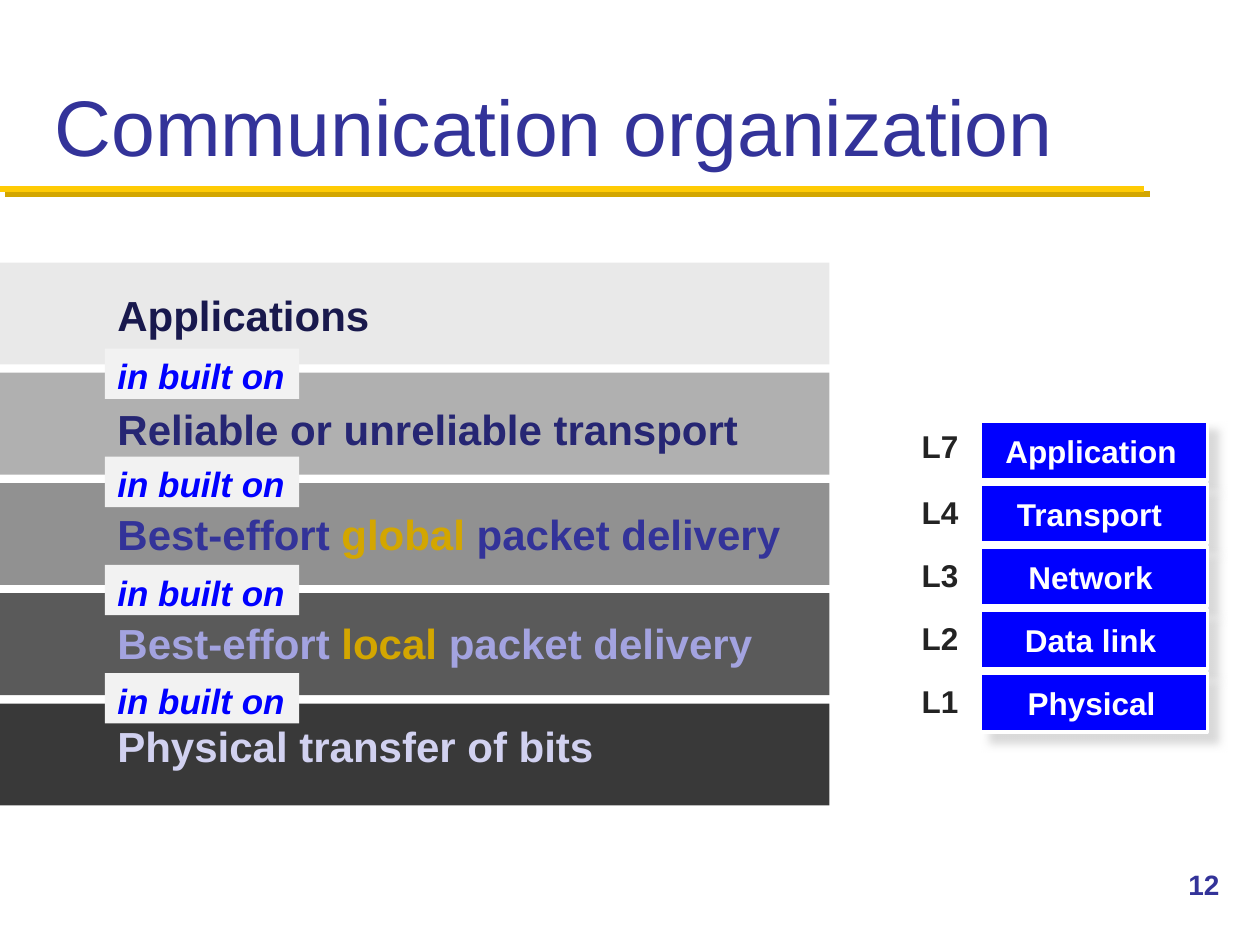
from lxml.etree import SubElement
from pptx import Presentation
from pptx.dml.color import RGBColor
from pptx.enum.shapes import MSO_CONNECTOR, MSO_SHAPE
from pptx.enum.text import MSO_ANCHOR, MSO_AUTO_SIZE, PP_ALIGN
from pptx.oxml.ns import qn
from pptx.util import Emu, Pt

EMU_PER_PX = 7620
FONT = "Arial"
NAVY, GOLD, BLUE, WHITE = "333399", "D3A600", "0000FF", "FFFFFF"
LAVENDER, INK = "A3A3E0", "232323"


def px(length):
    return Emu(length * EMU_PER_PX)


def color(value):
    return RGBColor.from_string(value)


class SlideBuilder:
    def __init__(self, presentation):
        self.slide = presentation.slides.add_slide(presentation.slide_layouts[5])

    def fill_text(self, shape, runs, size, bold=True, italic=False, align=PP_ALIGN.LEFT,
                  anchor=MSO_ANCHOR.TOP, insets=(12, 6, 12, 6), wrap=False):
        frame = shape.text_frame
        frame.auto_size = MSO_AUTO_SIZE.NONE
        frame.word_wrap = wrap
        frame.vertical_anchor = anchor
        frame.margin_left, frame.margin_top, frame.margin_right, frame.margin_bottom = map(px, insets)
        paragraph = frame.paragraphs[0]
        paragraph.alignment = align
        for text, text_color in runs:
            run = paragraph.add_run()
            run.text = text
            run.font.name = FONT
            run.font.size = Pt(size)
            run.font.bold = bold
            run.font.italic = italic
            run.font.color.rgb = color(text_color)

    def title(self, text, box):
        shape = self.slide.shapes.title
        shape.left, shape.top, shape.width, shape.height = map(px, box)
        self.fill_text(shape, [(text, NAVY)], 45, bold=False, anchor=MSO_ANCHOR.BOTTOM, wrap=True)

    def text(self, runs, box, size):
        shape = self.slide.shapes.add_textbox(*map(px, box))
        self.fill_text(shape, runs, size)

    def rectangle(self, box, fill, line=None):
        shape = self.slide.shapes.add_shape(MSO_SHAPE.RECTANGLE, *map(px, box))
        shape.shadow.inherit = False
        shape.fill.solid()
        shape.fill.fore_color.rgb = color(fill)
        if line:
            shape.line.color.rgb = color(line)
            shape.line.width = Pt(2)
        else:
            shape.line.fill.background()
        return shape

    def rule(self, start, end, line_color, width):
        connector = self.slide.shapes.add_connector(MSO_CONNECTOR.STRAIGHT, *map(px, start + end))
        connector.line.color.rgb = color(line_color)
        connector.line.width = Pt(width)
        SubElement(connector._element.spPr, qn("a:effectLst"))
        return connector

    def shadow(self, shape, shadow_color, opacity, blur, distance):
        effects = shape._element.spPr.find(qn("a:effectLst"))
        outer = SubElement(effects, qn("a:outerShdw"), blurRad=str(Pt(blur)), dist=str(Pt(distance)),
                           dir=str(45 * 60000), algn="ctr", rotWithShape="0")
        tint = SubElement(outer, qn("a:srgbClr"), val=shadow_color)
        SubElement(tint, qn("a:alpha"), val=str(opacity * 1000))


def main():
    presentation = Presentation()
    presentation.slide_width, presentation.slide_height = px(1200), px(900)
    builder = SlideBuilder(presentation)

    title_rule = builder.rule((0, 180), (1090, 180), "FFCB05", 3.5)
    builder.shadow(title_rule, GOLD, 100, 0, 4.2)
    builder.title("Communication organization", (40, 20, 1120, 150))
    builder.text([("12", NAVY)], (1120, 820, 80, 60), 16)

    bands = [
        ("E9E9E9", 270, 266, [("Applications", "19194D")]),
        ("B0B0B0", 378, 620, [("Reliable or unreliable transport", "262673")]),
        ("919191", 478, 661, [("Best-effort ", NAVY), ("global", GOLD), (" packet delivery", NAVY)]),
        ("5A5A5A", 582, 635, [("Best-effort ", LAVENDER), ("local", GOLD), (" packet delivery", LAVENDER)]),
        ("393939", 680, 482, [("Physical transfer of bits", "D1D1F0")]),
    ]
    for index, (fill, text_top, text_width, runs) in enumerate(bands):
        builder.rectangle((0, 250 + 105 * index, 790, 97), fill)
        builder.text(runs, (100, text_top, text_width, 60), 24)

    for index in range(len(bands) - 1):
        link = builder.rectangle((100, 332 + 103 * index, 185, 48), "F2F2F2")
        builder.fill_text(link, [("in built on", BLUE)], 20, italic=True)

    layers = [
        ("L7", 401, "Application", 941, 203),
        ("L4", 464, "Transport", 954, 174),
        ("L3", 524, "Network", 966, 152),
        ("L2", 584, "Data link", 962, 160),
        ("L1", 644, "Physical", 965, 156),
    ]
    for index, (level, level_top, name, name_left, name_width) in enumerate(layers):
        top = 401 + 60 * index
        box = builder.rectangle((934, top, 216, 56), BLUE, WHITE)
        builder.shadow(box, "CECECE", 75, 5, 8)
        plate = builder.rectangle((name_left, top + 5, name_width, 47), BLUE)
        builder.fill_text(plate, [(name, WHITE)], 18, align=PP_ALIGN.CENTER,
                          anchor=MSO_ANCHOR.MIDDLE, insets=(5, 5, 12, 5))
        label = builder.rectangle((866, level_top, 60, 48), WHITE)
        builder.fill_text(label, [(level, INK)], 18)

    presentation.save("out.pptx")


if __name__ == "__main__":
    main()
